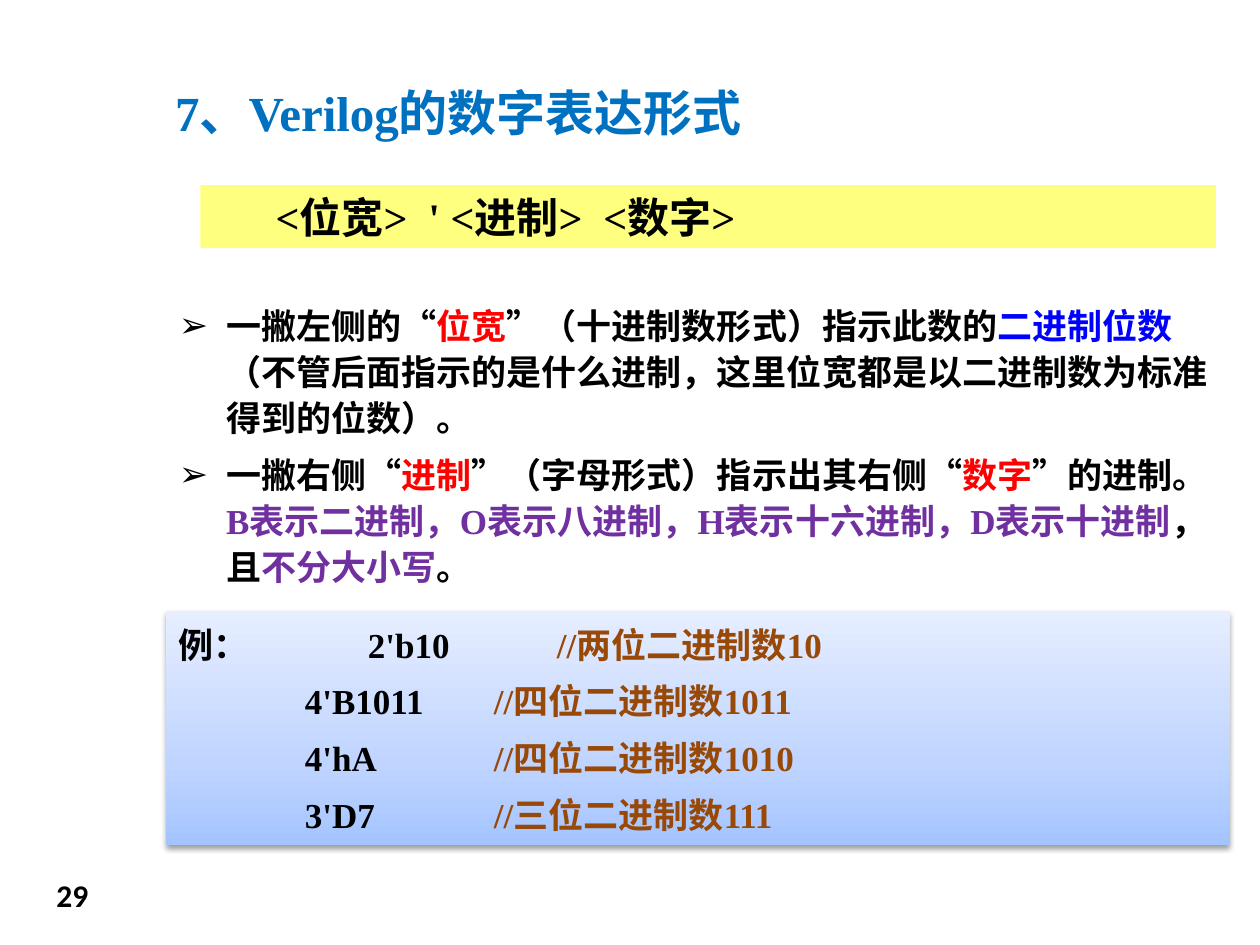
from dataclasses import dataclass

from lxml.etree import SubElement
from pptx import Presentation
from pptx.dml.color import RGBColor
from pptx.enum.shapes import MSO_SHAPE as Shape
from pptx.enum.text import MSO_ANCHOR as Anchor, MSO_AUTO_SIZE as AutoSize, PP_ALIGN as Align
from pptx.oxml.ns import qn
from pptx.util import Pt


@dataclass(frozen=True)
class Theme:
    serif: str = "Times New Roman"
    sans: str = "Calibri"
    title: str = "0070C0"
    text: str = "000000"
    key: str = "FF0000"
    bits: str = "0000FF"
    bases: str = "7030A0"
    comment: str = "984807"
    bar: str = "FFFF00"
    panel: tuple = ((0, "A4C4FF"), (35, "BFD4FF"), (100, "E6EEFF"))
    title_size: int = 28
    syntax_size: int = 24
    body_size: int = 20
    number_size: int = 18


@dataclass(frozen=True)
class Box:
    left: float
    top: float
    width: float
    height: float

    def lengths(self) -> tuple:
        return Pt(self.left), Pt(self.top), Pt(self.width), Pt(self.height)


@dataclass(frozen=True)
class Span:
    text: str
    color: str


@dataclass(frozen=True)
class Point:
    spans: tuple
    after: float


@dataclass(frozen=True)
class Example:
    label: str
    literal: str
    meaning: str


T = Theme()
TITLE = Box(92.9, 43.2, 601.9, 41)
BAR = Box(114.5, 105.8, 580.3, 36)
BODY = Box(95, 167.8, 607.7, 316)
PANEL = Box(95, 349.2, 607.7, 133.9)
NUMBER = Box(25.2, 496.8, 45.4, 32.4)

POINTS = (
    Point((
        Span("一撇左侧的“", T.text),
        Span("位宽", T.key),
        Span("”（十进制数形式）指示此数的", T.text),
        Span("二进制位数", T.bits),
        Span("（不管后面指示的是什么进制，这里位宽都是以二进制数为标准得到的位数）。", T.text),
    ), 6),
    Point((
        Span("一撇右侧“", T.text),
        Span("进制", T.key),
        Span("”（字母形式）指示出其右侧“", T.text),
        Span("数字", T.key),
        Span("”的进制。", T.text),
        Span("B表示二进制，O表示八进制，H表示十六进制，D表示十进制", T.bases),
        Span("，且", T.text),
        Span("不分大小写", T.bases),
        Span("。", T.text),
    ), 18),
)
EXAMPLES = (
    Example("例：", "2'b10", "两位二进制数10"),
    Example("", "4'B1011", "四位二进制数1011"),
    Example("", "4'hA", "四位二进制数1010"),
    Example("", "3'D7", "三位二进制数111"),
)


def place(sp, box: Box) -> None:
    sp.left, sp.top, sp.width, sp.height = box.lengths()


def style(r, size: float, color: str, font: str = T.serif) -> None:
    r.font.name = font
    r.font.size = Pt(size)
    r.font.bold = True
    r.font.color.rgb = RGBColor.from_string(color)


def write_line(sp, text: str, size: float, color: str, font: str = T.serif):
    tf = sp.text_frame
    tf.text = text
    tf.word_wrap = True
    tf.auto_size = AutoSize.NONE
    p = tf.paragraphs[0]
    p.alignment = Align.LEFT
    style(p.runs[0], size, color, font)
    return p


def add_rect(s, box: Box):
    sp = s.shapes.add_shape(Shape.RECTANGLE, *box.lengths())
    sp.shadow.inherit = False
    sp.fill.solid()
    sp.line.fill.background()
    return sp


def add_color(parent, color: str, alpha: int = 100) -> None:
    clr = SubElement(parent, qn("a:srgbClr"), val=color)
    if alpha < 100:
        SubElement(clr, qn("a:alpha"), val=str(alpha * 1000))


def add_panel(s) -> None:
    sp = add_rect(s, PANEL)
    spPr = sp._element.spPr
    solid = spPr.find(qn("a:solidFill"))
    grad = SubElement(spPr, qn("a:gradFill"), rotWithShape="1")
    spPr.replace(solid, grad)
    stops = SubElement(grad, qn("a:gsLst"))
    for pos, color in T.panel:
        add_color(SubElement(stops, qn("a:gs"), pos=str(pos * 1000)), color)
    SubElement(grad, qn("a:lin"), ang=str(270 * 60000), scaled="0")
    shadow = SubElement(spPr.find(qn("a:effectLst")), qn("a:outerShdw"),
                        blurRad=str(Pt(3.1)), dist=str(Pt(1.6)),
                        dir=str(90 * 60000), rotWithShape="0")
    add_color(shadow, T.text, 38)
    s.shapes._spTree.insert(2, sp._element)


def add_syntax_bar(s) -> None:
    sp = add_rect(s, BAR)
    sp.fill.fore_color.rgb = RGBColor.from_string(T.bar)
    clr = sp._element.spPr.find(qn("a:solidFill"))[0]
    SubElement(clr, qn("a:alpha"), val="50000")
    p = write_line(sp, "\t<位宽>  ' <进制>  <数字>", T.syntax_size, T.text)
    p.space_after = Pt(12)
    sp.text_frame.vertical_anchor = Anchor.MIDDLE


def write_paragraph(p, spans: tuple, after: float, bullet: bool) -> None:
    pPr = p._p.get_or_add_pPr()
    pPr.set("marL", str(Pt(27) if bullet else 0))
    pPr.set("indent", str(Pt(-27) if bullet else 0))
    if bullet:
        add_color(SubElement(pPr, qn("a:buClr")), T.text)
        SubElement(pPr, qn("a:buChar"), char="➢")
    else:
        SubElement(pPr, qn("a:buNone"))
    p.line_spacing = 1.1
    p.space_before = Pt(0)
    p.space_after = Pt(after)
    for span in spans:
        r = p.add_run()
        r.text = span.text
        style(r, T.body_size, span.color)


def fill_body(sp) -> None:
    place(sp, BODY)
    tf = sp.text_frame
    tf.word_wrap = True
    tf.auto_size = AutoSize.NONE
    rows = [(pt.spans, pt.after, True) for pt in POINTS]
    for ex in EXAMPLES:
        spans = (Span(f"{ex.label}\t\t{ex.literal}\t", T.text),
                 Span(f" \t//{ex.meaning}", T.comment))
        rows.append((spans, 6, False))
    for i, row in enumerate(rows):
        write_paragraph(tf.add_paragraph() if i else tf.paragraphs[0], *row)


def main() -> None:
    prs = Presentation()
    prs.slide_width, prs.slide_height = Pt(720), Pt(540)
    s = prs.slides.add_slide(prs.slide_layouts[1])
    title = s.shapes.title
    place(title, TITLE)
    write_line(title, "7、Verilog的数字表达形式", T.title_size, T.title)
    title.text_frame.vertical_anchor = Anchor.MIDDLE
    fill_body(s.placeholders[1])
    add_panel(s)
    add_syntax_bar(s)
    number = s.shapes.add_textbox(*NUMBER.lengths())
    write_line(number, "29", T.number_size, T.text, T.sans)
    prs.save("out.pptx")


if __name__ == "__main__":
    main()
